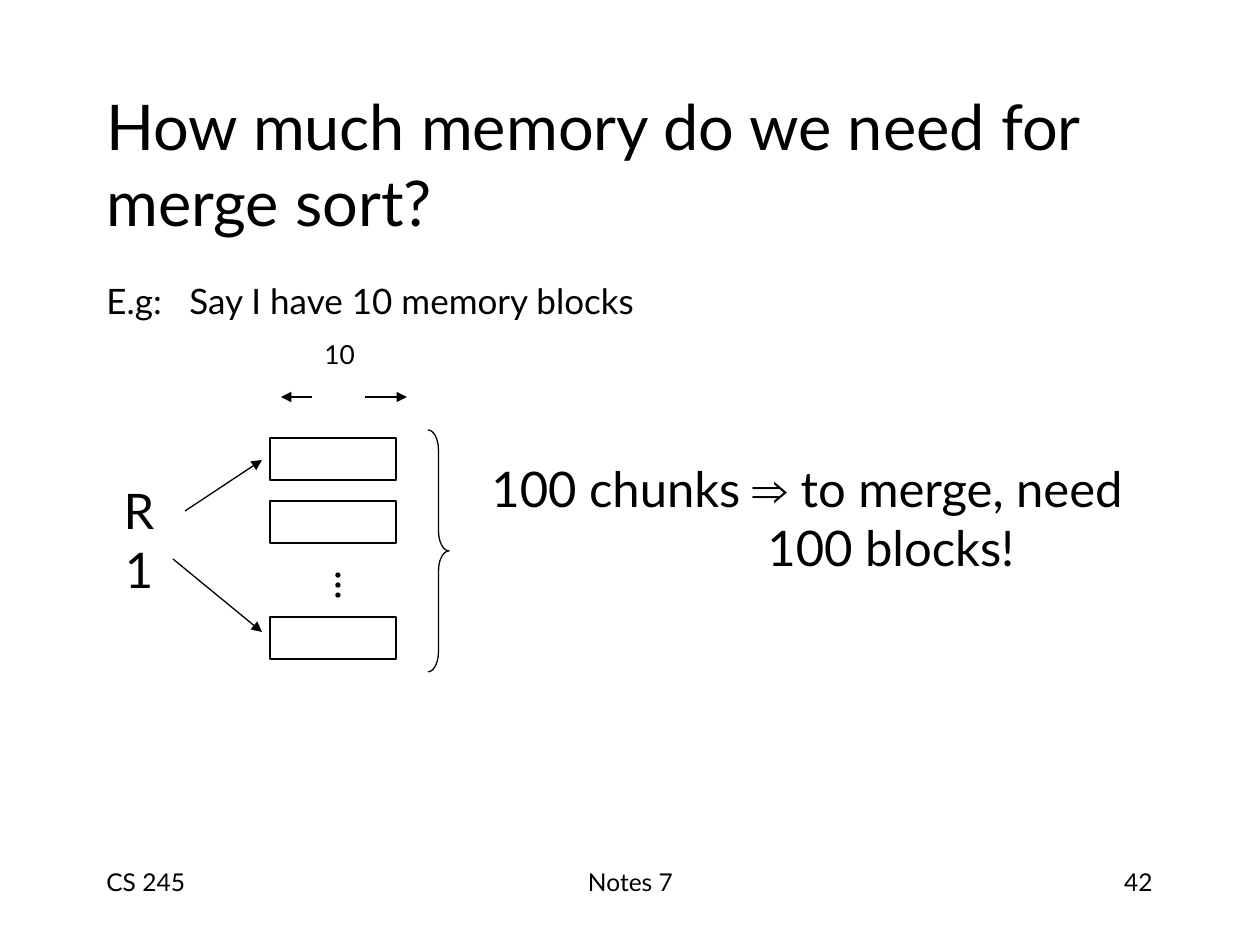
from lxml import etree
from pptx import Presentation
from pptx.dml.color import RGBColor
from pptx.enum.shapes import MSO_CONNECTOR as LINE, MSO_SHAPE as SHAPE
from pptx.enum.text import MSO_ANCHOR as ANCHOR, PP_ALIGN as ALIGN
from pptx.oxml.ns import qn
from pptx.util import Pt

SCALE = 914400 / 126  # EMU per px


class Theme:
    ink = RGBColor(0, 0, 0)
    paper = RGBColor(255, 255, 255)
    font = "Lato"
    symbol_font = "Arial"
    title, large, dots, body, label, footer = 36, 28, 24, 20, 15, 14
    line = Pt(0.75)


def emu(*lengths):
    return [round(length * SCALE) for length in lengths]


def add_text(place, text, size, align=ALIGN.LEFT, anchor=ANCHOR.TOP):
    box = page.shapes.add_textbox(*emu(*place))
    frame = box.text_frame
    frame.word_wrap = True
    frame.vertical_anchor = anchor
    frame.text = text
    for para in frame.paragraphs:
        para.alignment = align
        for span in para.runs:
            span.font.name = Theme.font
            span.font.size = Pt(size)
            span.font.color.rgb = Theme.ink
    return box


deck = Presentation()
deck.slide_width, deck.slide_height = emu(1260, 945)
page = deck.slides.add_slide(deck.slide_layouts[6])

# Footer
for left, width, text, align in [
    (94, 262, "CS 245", ALIGN.LEFT),
    (431, 399, "Notes 7", ALIGN.CENTER),
    (903, 262, "42", ALIGN.RIGHT),
]:
    add_text((left, 861, width, 63), text, Theme.footer, align)

# Title
add_text((94, 84, 1071, 158), "How much memory do we need for merge sort?",
         Theme.title, anchor=ANCHOR.MIDDLE)

# Example sentence, with the chunk width below it
example = add_text((94, 273, 1029, 164), "E.g:\tSay I have 10 memory blocks\n10", Theme.body)
sentence, chunk_width = example.text_frame.paragraphs
sentence.space_before = Pt(8)
tabs = etree.SubElement(sentence._p.get_or_add_pPr(), qn("a:tabLst"))
etree.SubElement(tabs, qn("a:tab"), pos=str(emu(83)[0]), algn="l")
chunk_width.space_before = Pt(10)
chunk_width._p.get_or_add_pPr().set("marL", str(emu(218)[0]))
chunk_width.runs[0].font.size = Pt(Theme.label)

# Chunks and the brace around them
outlines = []
for top in (438, 501, 617):
    chunk = page.shapes.add_shape(SHAPE.RECTANGLE, *emu(270, top, 126, 42))
    chunk.fill.solid()
    chunk.fill.fore_color.rgb = Theme.paper
    outlines.append(chunk)
brace = page.shapes.add_shape(SHAPE.RIGHT_BRACE, *emu(428, 430, 21, 242))
brace.adjustments[0] = 0.96
brace.fill.background()
outlines.append(brace)
for outline in outlines:
    outline.shadow.inherit = False
    outline.line.color.rgb = Theme.ink
    outline.line.width = Theme.line

# Dots between the chunks
dots = add_text((294, 554, 59, 63), "...", Theme.dots, ALIGN.CENTER, ANCHOR.MIDDLE)
dots.rotation = 270
dots.text_frame.word_wrap = False
dots.text_frame.paragraphs[0].space_before = Pt(15)

# Conclusion
conclusion = add_text((479, 452, 702, 131), "100 chunks ⇒ to merge, need\n100 blocks!",
                      Theme.large, anchor=ANCHOR.MIDDLE)
first, second = conclusion.text_frame.paragraphs
first.text = ""
for text, font in [("100 chunks ", Theme.font), ("⇒", Theme.symbol_font),
                   (" to merge, need", Theme.font)]:
    span = first.add_run()
    span.text = text
    span.font.name = font
    span.font.size = Pt(Theme.large)
    span.font.color.rgb = Theme.ink
second._p.get_or_add_pPr().set("marL", str(emu(276)[0]))

# Relation name, broken over two lines by its narrow box
relation = add_text((114, 474, 50, 131), "R1", Theme.large, ALIGN.CENTER, ANCHOR.MIDDLE)
relation.text_frame.margin_left = relation.text_frame.margin_right = 0

# Arrows: chunk width, then relation to first and last chunk
for ends in [(312, 397, 281, 397), (365, 397, 407, 397),
             (185, 511, 262, 460), (173, 559, 262, 632)]:
    arrow = page.shapes.add_connector(LINE.STRAIGHT, *emu(*ends))
    arrow.line.color.rgb = Theme.ink
    arrow.line.width = Theme.line
    etree.SubElement(arrow.line._get_or_add_ln(), qn("a:tailEnd"), type="triangle")
    etree.SubElement(arrow._element.spPr, qn("a:effectLst"))

deck.save("out.pptx")
